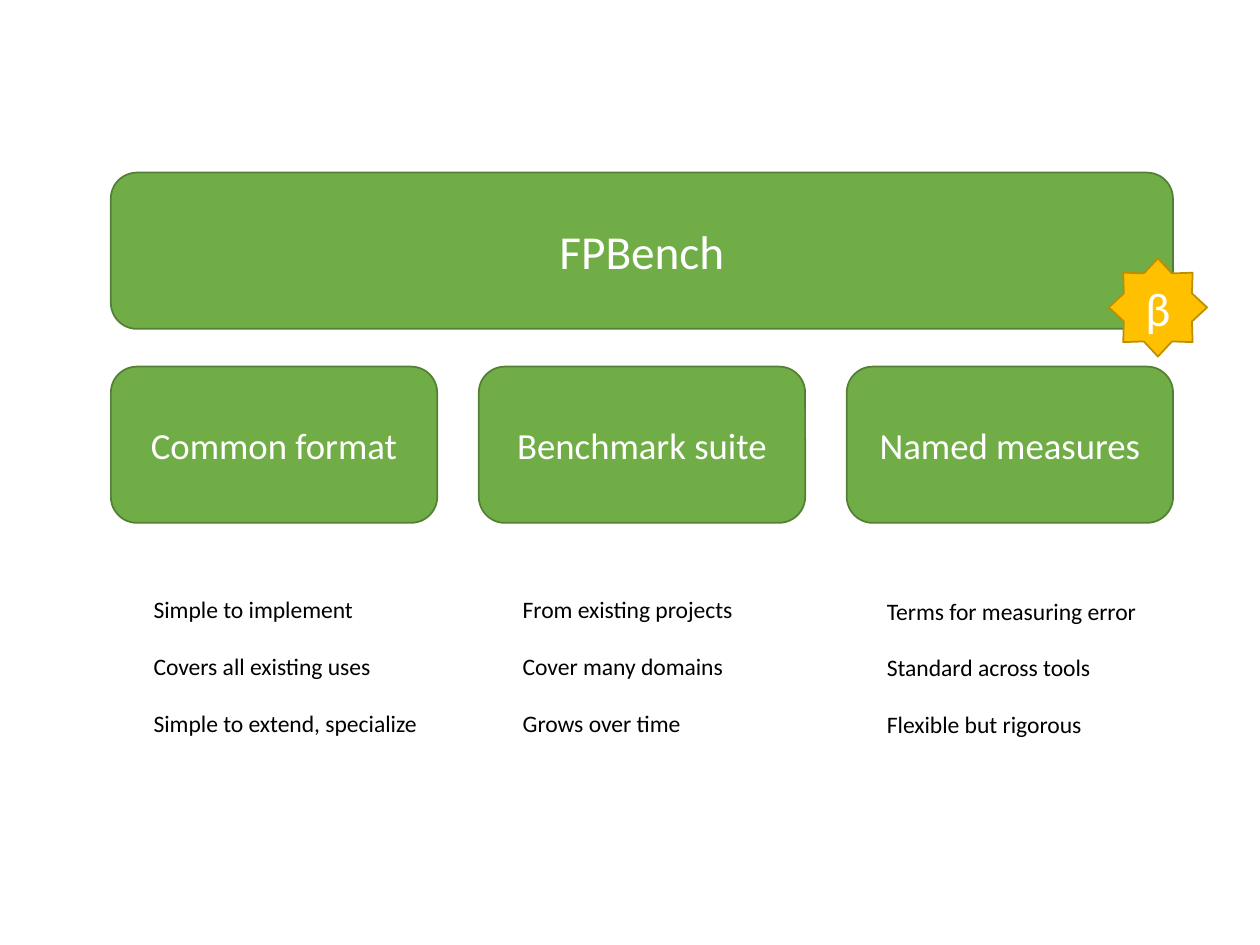
"""Build the FPBench overview slide: a banner, three pillars and a beta badge."""
from pptx import Presentation
from pptx.dml.color import RGBColor
from pptx.enum.shapes import MSO_SHAPE as SHAPE
from pptx.enum.text import MSO_ANCHOR as ANCHOR, MSO_AUTO_SIZE as AUTO, PP_ALIGN as ALIGN
from pptx.util import Inches, Pt

GREEN, GREEN_EDGE = RGBColor(0x70, 0xAD, 0x47), RGBColor(0x53, 0x80, 0x35)
GOLD, GOLD_EDGE = RGBColor(0xFF, 0xC0, 0x00), RGBColor(0xBD, 0x8E, 0x00)
WHITE, BLACK = RGBColor(0xFF, 0xFF, 0xFF), RGBColor(0, 0, 0)
FONT = "Calibri"

PILLARS = [
    ("Common format", (1.12, 4.45, 2.32),
     ["Simple to implement", "Covers all existing uses", "Simple to extend, specialize"]),
    ("Benchmark suite", (4.05, 4.45, 1.89),
     ["From existing projects", "Cover many domains", "Grows over time"]),
    ("Named measures", (6.94, 4.46, 2.21),
     ["Terms for measuring error", "Standard across tools", "Flexible but rigorous"]),
]
LEFT, WIDTH, BOX_W, BOX_H = 0.88, 8.43, 2.59, 1.24
BANNER_TOP, PILLAR_TOP, POINTS_H = 1.37, 2.91, 1.46
STEP = (WIDTH - BOX_W) / (len(PILLARS) - 1)


def style(p, size, color):
    for r in p.runs:
        r.font.name, r.font.size, r.font.color.rgb = FONT, Pt(size), color


def add_label(shapes, kind, box, text, size, fill, edge):
    sp = shapes.add_shape(kind, *map(Inches, box))
    sp.shadow.inherit = False
    sp.fill.solid()
    sp.fill.fore_color.rgb = fill
    sp.line.color.rgb = edge
    sp.line.width = Pt(1)
    tf = sp.text_frame
    tf.text = text
    tf.vertical_anchor = ANCHOR.MIDDLE
    p = tf.paragraphs[0]
    p.alignment = ALIGN.CENTER
    style(p, size, WHITE)


def add_points(shapes, box, points):
    tf = shapes.add_textbox(*map(Inches, box)).text_frame
    tf.text = "\n".join(points)
    tf.word_wrap = False
    tf.auto_size = AUTO.SHAPE_TO_FIT_TEXT
    for p in tf.paragraphs:
        p.line_spacing = 2.0
        style(p, 13.5, BLACK)


def main():
    prs = Presentation()
    prs.slide_width, prs.slide_height = Inches(10), Inches(7.5)
    s = prs.slides.add_slide(prs.slide_layouts[6])
    for i, (title, place, points) in enumerate(PILLARS):
        group = s.shapes.add_group_shape()
        add_label(group.shapes, SHAPE.ROUNDED_RECTANGLE,
                  (LEFT + i * STEP, PILLAR_TOP, BOX_W, BOX_H), title, 21, GREEN, GREEN_EDGE)
        add_points(group.shapes, (*place, POINTS_H), points)
    add_label(s.shapes, SHAPE.ROUNDED_RECTANGLE, (LEFT, BANNER_TOP, WIDTH, BOX_H),
              "FPBench", 27, GREEN, GREEN_EDGE)
    add_label(s.shapes, SHAPE.STAR_8_POINT, (8.8, 2.05, 0.78, 0.78), "β", 27, GOLD, GOLD_EDGE)
    prs.save("out.pptx")


if __name__ == "__main__":
    main()
